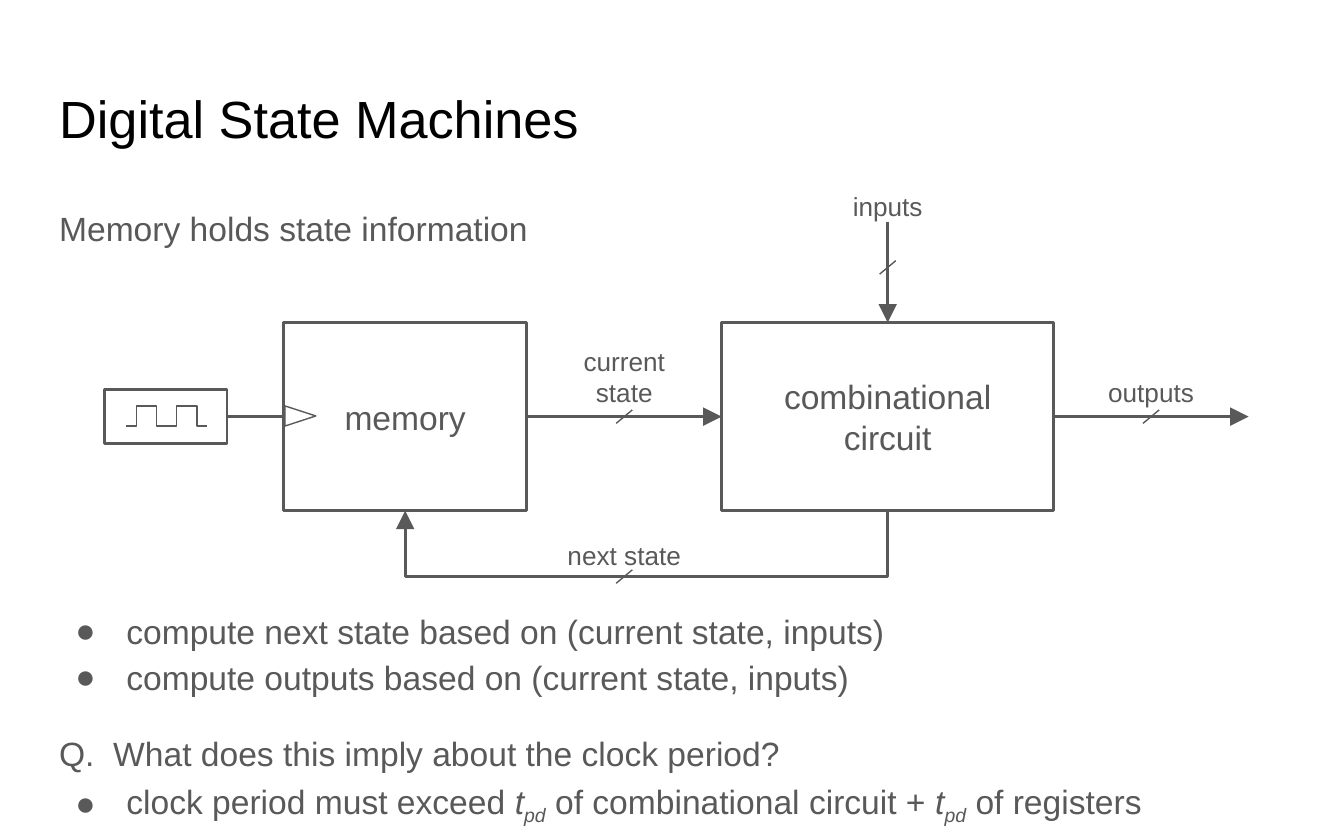
"""Build the Digital State Machines slide: a block diagram with explanatory text."""
from pptx import Presentation
from pptx.dml.color import RGBColor
from pptx.enum.shapes import MSO_CONNECTOR, MSO_SHAPE
from pptx.enum.text import MSO_ANCHOR, MSO_AUTO_SIZE, PP_ALIGN
from pptx.oxml.ns import qn
from pptx.oxml.xmlchemy import OxmlElement
from pptx.util import Inches, Pt

BLACK = RGBColor(0x00, 0x00, 0x00)
GREY = RGBColor(0x59, 0x59, 0x59)
THICK, THIN = 1.5, 0.75

TITLE = "Digital State Machines"
INTRO = "Memory holds state information"
T_PD = [("t", "italic"), ("pd", "subscript")]
NOTES = [
    {"text": "compute next state based on (current state, inputs)", "bullet": True},
    {"text": "compute outputs based on (current state, inputs)", "bullet": True},
    {"text": "Q.  What does this imply about the clock period?", "before": 16},
    {
        "text": [("clock period must exceed ", ""), *T_PD,
                 (" of combinational circuit + ", ""), *T_PD, (" of registers", "")],
        "bullet": True,
    },
]

MID_Y, BLOCK_TOP, BLOCK_H = 3.1, 2.4, 1.4
BLOCK_BOTTOM = BLOCK_TOP + BLOCK_H
MEMORY_X, MEMORY_W = 2.11, 1.81
LOGIC_X, LOGIC_W = 5.37, 2.47
MEMORY_RIGHT, LOGIC_RIGHT = MEMORY_X + MEMORY_W, LOGIC_X + LOGIC_W
MEMORY_MID, LOGIC_MID = MEMORY_X + MEMORY_W / 2, LOGIC_X + LOGIC_W / 2
CLOCK_X, CLOCK_W, CLOCK_H = 0.78, 0.91, 0.4
LABEL_W, LABEL_H = 1.45, 0.52
FEEDBACK_Y = 4.29
STATE_MID = (MEMORY_RIGHT + LOGIC_X) / 2
OUTPUT_END = LOGIC_RIGHT + LABEL_W

BLOCKS = [
    (["memory"], MEMORY_X, MEMORY_W),
    (["combinational", "circuit"], LOGIC_X, LOGIC_W),
]
WIRES = [
    ((CLOCK_X + CLOCK_W, MID_Y), (MEMORY_X, MID_Y), False),
    ((MEMORY_RIGHT, MID_Y), (LOGIC_X, MID_Y), True),
    ((LOGIC_MID, 1.65), (LOGIC_MID, BLOCK_TOP), True),
    ((LOGIC_RIGHT, MID_Y), (OUTPUT_END, MID_Y), True),
]
FEEDBACK = [(LOGIC_MID, BLOCK_BOTTOM), (LOGIC_MID, FEEDBACK_Y),
            (MEMORY_MID, FEEDBACK_Y), (MEMORY_MID, BLOCK_BOTTOM)]
BUS_MARKS = [(STATE_MID, MID_Y), (LOGIC_MID, 1.99),
             (STATE_MID, FEEDBACK_Y), (LOGIC_RIGHT + LABEL_W / 2, MID_Y)]
LABELS = [
    (["current", "state"], STATE_MID, 2.8),
    (["inputs"], LOGIC_MID, 1.53),
    (["next state"], STATE_MID, 4.13),
    (["outputs"], LOGIC_RIGHT + LABEL_W / 2, 2.92),
]
PULSE_X, PULSE_LOW, PULSE_HIGH = 0.94, 3.17, 3.02
PULSE_STEP = 0.15


def add_xml(parent, tag, **attrs):
    e = OxmlElement(tag)
    for name, value in attrs.items():
        e.set(name, value)
    parent.append(e)


def write(p, text, size=18, color=GREY, align=PP_ALIGN.LEFT, spacing=1.0, before=0, bullet=False):
    pPr = p._p.get_or_add_pPr()
    pPr.set("marL", str(Inches(0.5 if bullet else 0)))
    pPr.set("indent", str(Inches(-0.38 if bullet else 0)))
    if bullet:
        add_xml(pPr, "a:buChar", char="●")
    else:
        add_xml(pPr, "a:buNone")
    p.alignment, p.line_spacing = align, spacing
    p.space_before, p.space_after = Pt(before), Pt(0)
    for words, style in [(text, "")] if isinstance(text, str) else text:
        r = p.add_run()
        r.text = words
        r.font.name, r.font.size = "Arial", Pt(size)
        r.font.color.rgb = color
        if style:
            r.font.italic = True
        if style == "subscript":
            r.font._element.set("baseline", "-25000")


def fill_frame(tf, paragraphs, anchor=MSO_ANCHOR.TOP, inset=0.1, **fmt):
    tf.word_wrap, tf.auto_size, tf.vertical_anchor = True, MSO_AUTO_SIZE.NONE, anchor
    tf.margin_left = tf.margin_right = tf.margin_top = tf.margin_bottom = Inches(inset)
    for i, item in enumerate(paragraphs):
        p = tf.add_paragraph() if i else tf.paragraphs[0]
        write(p, **{**fmt, **item})


def place(sp, x, y, w, h):
    sp.left, sp.top, sp.width, sp.height = (Inches(v) for v in (x, y, w, h))


def stroke(sp, width, arrow=False):
    sp.line.color.rgb, sp.line.width = GREY, Pt(width)
    if arrow:
        ln = sp.element.spPr.find(qn("a:ln"))
        add_xml(ln, "a:tailEnd", type="triangle", w="lg", len="lg")


def add_outline(s, kind, x, y, w, h, width):
    sp = s.shapes.add_shape(kind, *(Inches(v) for v in (x, y, w, h)))
    sp.shadow.inherit = False
    sp.fill.background()
    stroke(sp, width)
    return sp


def add_wire(s, start, end, width, arrow=False):
    sp = s.shapes.add_connector(MSO_CONNECTOR.STRAIGHT, *(Inches(v) for v in (*start, *end)))
    stroke(sp, width, arrow)
    add_xml(sp.element.spPr, "a:effectLst")


def add_path(s, points, width, arrow=False):
    corners = [(Inches(x), Inches(y)) for x, y in points]
    builder = s.shapes.build_freeform(*corners[0])
    builder.add_line_segments(corners[1:], close=False)
    sp = builder.convert_to_shape()
    sp.shadow.inherit = False
    sp.fill.background()
    stroke(sp, width, arrow)


def pulse_points():
    points = [(PULSE_X, PULSE_LOW)]
    x = PULSE_X + PULSE_STEP / 2
    for i in range(4):
        levels = (PULSE_LOW, PULSE_HIGH) if i % 2 == 0 else (PULSE_HIGH, PULSE_LOW)
        points += [(x + i * PULSE_STEP, y) for y in levels]
    return points + [(PULSE_X + 4 * PULSE_STEP, PULSE_LOW)]


def main():
    prs = Presentation()
    prs.slide_width, prs.slide_height = Inches(10), Inches(6.25)
    s = prs.slides.add_slide(prs.slide_layouts[3])
    title, intro, notes = s.placeholders
    place(title, 0.34, 0.54, 9.32, 0.7)
    fill_frame(title.text_frame, [{"text": TITLE}], size=28, color=BLACK)
    place(intro, 0.34, 1.4, 9.32, 0.6)
    fill_frame(intro.text_frame, [{"text": INTRO}], spacing=1.15)
    place(notes, 0.34, 4.4, 9.32, 1.85)
    fill_frame(notes.text_frame, NOTES, spacing=1.15)

    centred = {"anchor": MSO_ANCHOR.MIDDLE, "align": PP_ALIGN.CENTER}
    for lines, x, w in BLOCKS:
        sp = add_outline(s, MSO_SHAPE.RECTANGLE, x, BLOCK_TOP, w, BLOCK_H, THICK)
        fill_frame(sp.text_frame, [{"text": line} for line in lines], **centred)
    add_outline(s, MSO_SHAPE.RECTANGLE, CLOCK_X, MID_Y - CLOCK_H / 2, CLOCK_W, CLOCK_H, THICK)
    clock_input = add_outline(s, MSO_SHAPE.ISOSCELES_TRIANGLE, 2.16, 2.98, 0.15, 0.23, THIN)
    clock_input.rotation = 90
    add_path(s, pulse_points(), THIN)

    for start, end, arrow in WIRES:
        add_wire(s, start, end, THICK, arrow)
    add_path(s, FEEDBACK, THICK, arrow=True)
    for x, y in BUS_MARKS:
        add_wire(s, (x + 0.06, y - 0.05), (x - 0.06, y + 0.05), THIN)
    for lines, x, y in LABELS:
        sp = s.shapes.add_textbox(0, 0, 0, 0)
        place(sp, x - LABEL_W / 2, y - LABEL_H / 2, LABEL_W, LABEL_H)
        fill_frame(sp.text_frame, [{"text": line} for line in lines], inset=0, size=14, **centred)

    prs.save("out.pptx")


if __name__ == "__main__":
    main()
